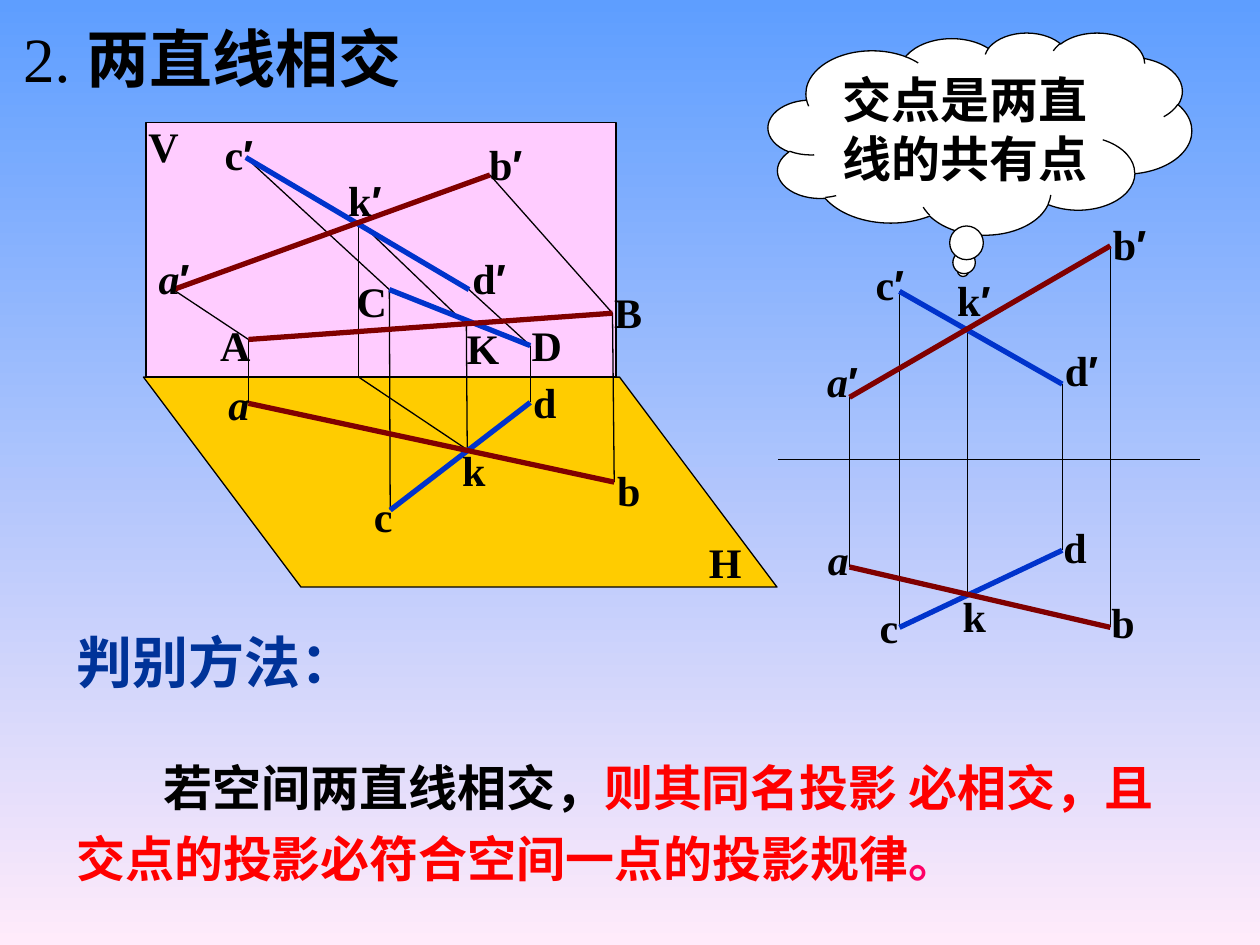
from dataclasses import dataclass

from lxml import etree
from pptx import Presentation
from pptx import util as u
from pptx.dml.color import RGBColor
from pptx.enum import lang, shapes, text
from pptx.oxml import ns

Pt = u.Pt


@dataclass(frozen=True)
class Theme:
    sky: str = "5E9EFF"
    blush: str = "FFEBFA"
    pink: str = "FFCCFF"
    gold: str = "FFCC00"
    white: str = "FFFFFF"
    black: str = "000000"
    maroon: str = "800000"
    blue: str = "0033CC"
    navy: str = "003399"
    red: str = "FF0000"
    rose: str = "FF0066"
    latin: str = "Times New Roman"
    han: str = "Noto Sans CJK SC"
    prime: str = "Arial"
    title: int = 36
    heading: int = 32
    body: int = 28
    label: int = 24
    thin: float = 0.75
    thick: float = 3


THEME = Theme()

# Points of the spatial figure: upper case in space, primed on V, plain on H
SPATIAL = {
    "A": (142, 194), "a′": (99, 165.5), "a": (142, 230.5),
    "B": (350, 179), "b′": (280, 100), "b": (351, 275.5),
    "C": (222.5, 165.5), "c′": (140.5, 90), "c": (223, 291.5),
    "D": (303, 197.5), "d′": (268, 165.5), "d": (303, 230),
    "K": (266.5, 185.5), "k′": (205, 126.5), "k": (267, 257),
    "fold": (205, 215.5),
}
SPATIAL_LABELS = {  # left and top of each label
    "H": (398, 303), "V": (77.5, 65.5),
    "A": (118.5, 179), "B": (343, 160), "C": (196.5, 154),
    "D": (296.5, 179), "K": (259.5, 180.5),
    "a": (123, 212.5), "b": (345.5, 262), "c": (205.5, 276.5),
    "d": (297.5, 211.5), "k": (257, 250.5),
    "a′": (82, 140.5), "b′": (271.5, 75.5), "c′": (119, 70),
    "d′": (262, 140.5), "k′": (191, 96),
}

# Points of the two-view drawing: each pair shares one vertical
VIEW_COLUMNS = {  # x, height on V, height on H
    "a": (485.5, 227, 324), "b": (634.5, 140.5, 358.5),
    "c": (514, 166.5, 358.5), "d": (607, 219.5, 314.5),
    "k": (553, 187.5, 340),
}
VIEW_LABELS = {
    "a": (465.5, 301.5), "b": (628, 337.5), "c": (494.5, 340),
    "d": (600.5, 294.5), "k": (543, 334),
    "a′": (464, 199.5), "b′": (628, 121), "c′": (491, 144),
    "d′": (600.5, 193), "k′": (539, 153.5),
}


def rgb(code):
    return RGBColor.from_string(code)


def add_span(para, words, size, color=THEME.black, font=THEME.latin,
             han=None, bold=True, italic=False):
    span = para.add_run()
    span.text = words
    span.font.size = Pt(size)
    span.font.bold, span.font.italic = bold, italic
    span.font.color.rgb = rgb(color)
    span.font.name = font
    if han:
        span.font.language_id = lang.MSO_LANGUAGE_ID.SIMPLIFIED_CHINESE
        east = etree.SubElement(span.font._element, ns.qn("a:ea"))
        east.set("typeface", han)


def set_frame(box, align, wrap=True):
    """Set up the text frame of a box and give its first paragraph."""
    frame = box.text_frame
    frame.word_wrap = wrap
    frame.vertical_anchor = text.MSO_ANCHOR.MIDDLE
    para = frame.paragraphs[0]
    para.alignment = align
    return para


def add_box(group, left, top, width, height, align=text.PP_ALIGN.LEFT, wrap=True):
    box = group.add_textbox(Pt(left), Pt(top), Pt(width), Pt(height))
    return set_frame(box, align, wrap)


def add_shape(group, kind, left, top, width, height, fill):
    shape = group.add_shape(kind, Pt(left), Pt(top), Pt(width), Pt(height))
    shape.shadow.inherit = False
    shape.fill.solid()
    shape.fill.fore_color.rgb = rgb(fill)
    shape.line.color.rgb = rgb(THEME.black)
    shape.line.width = Pt(THEME.thin)
    return shape


def add_line(group, start, end, color=THEME.black, width=THEME.thin):
    line = group.add_connector(shapes.MSO_CONNECTOR.STRAIGHT,
                               *(Pt(value) for value in (*start, *end)))
    line.line.color.rgb = rgb(color)
    line.line.width = Pt(width)
    etree.SubElement(line._element.spPr, ns.qn("a:effectLst"))


def add_label(group, name, left, top):
    width = 35 if len(name) > 1 else 32 if name.isupper() else 27
    para = add_box(group, left, top, width, 36, text.PP_ALIGN.CENTER, wrap=False)
    add_span(para, name[0], THEME.label, italic=name[0] == "a")
    if len(name) > 1:
        add_span(para, name[1], THEME.label, font=THEME.prime)


def add_figure(group, points, thin_pairs, thick_pairs, labels):
    for start, end in thin_pairs:
        add_line(group, points[start], points[end])
    for start, end in thick_pairs:
        color = THEME.maroon if start[0] in "aA" else THEME.blue
        add_line(group, points[start], points[end], color, THEME.thick)
    for name, place in labels.items():
        add_label(group, name, *place)


def add_spatial_figure(page):
    group = page.shapes.add_group_shape().shapes
    add_shape(group, shapes.MSO_SHAPE.RECTANGLE, 83.5, 70, 268.5, 145.5, THEME.pink)
    plane = add_shape(group, shapes.MSO_SHAPE.PARALLELOGRAM,
                      82, 215.5, 362, 120, THEME.gold)
    plane.adjustments[0] = 0.75
    plane._element.spPr.find(ns.qn("a:xfrm")).set("flipH", "1")
    thin = [(name, foot) for name in "ABCDK"
            for foot in (name.lower() + "′", name.lower())]
    thin += [("k′", "fold"), ("fold", "k")]
    thick = [("C", "D"), ("A", "B"), ("c′", "d′"), ("a′", "b′"),
             ("c", "d"), ("a", "b")]
    add_figure(group, SPATIAL, thin, thick, SPATIAL_LABELS)


def add_view_figure(page):
    group = page.shapes.add_group_shape().shapes
    add_line(group, (444.5, 262.5), (686, 262.5))
    points = {}
    for name, (x, upper, lower) in VIEW_COLUMNS.items():
        points[name + "′"], points[name] = (x, upper), (x, lower)
    thin = [(name + "′", name) for name in VIEW_COLUMNS]
    thick = [("c′", "d′"), ("a′", "b′"), ("c", "d"), ("a", "b")]
    add_figure(group, points, thin, thick, VIEW_LABELS)


def add_title(page):
    title = page.shapes.title
    title.left, title.top, title.width, title.height = Pt(6), Pt(8), Pt(325), Pt(50)
    para = set_frame(title, text.PP_ALIGN.LEFT)
    add_span(para, "2. ", THEME.title, bold=False)
    add_span(para, "两直线相交", THEME.title, font=THEME.han, han=THEME.han)


def add_method(page):
    para = add_box(page.shapes, 36.5, 355, 263, 46)
    add_span(para, "判别方法：", THEME.heading, THEME.navy, han=THEME.han)
    para = add_box(page.shapes, 36.5, 422.5, 652.5, 88)
    para.line_spacing = 1.2
    para._p.get_or_add_pPr().set("indent", str(Pt(50)))
    for words, color in (("若空间两直线相交，", THEME.black),
                         ("则其同名投影 必相交，且交点的投影必符合空间一点的投影规律", THEME.red),
                         ("。", THEME.rose)):
        add_span(para, words, THEME.body, color, han=THEME.han)


def add_callout(page):
    cloud = add_shape(page.shapes, shapes.MSO_SHAPE.CLOUD_CALLOUT,
                      439, 18.5, 242, 115.5, THEME.white)
    cloud.adjustments[0], cloud.adjustments[1] = -0.04, 0.68
    para = set_frame(cloud, text.PP_ALIGN.CENTER)
    add_span(para, "交点是两直线的共有点", THEME.body, han=THEME.han)


def main():
    deck = Presentation()
    deck.slide_width, deck.slide_height = Pt(720), Pt(540)
    page = deck.slides.add_slide(deck.slide_layouts[5])

    # Background runs from top to bottom
    fill = page.background.fill
    fill.gradient()
    fill.gradient_angle = 270
    for stop, color in zip(fill.gradient_stops, (THEME.sky, THEME.blush)):
        stop.color.rgb = rgb(color)

    add_title(page)
    add_spatial_figure(page)
    add_view_figure(page)
    add_method(page)
    add_callout(page)
    deck.save("out.pptx")


if __name__ == "__main__":
    main()
